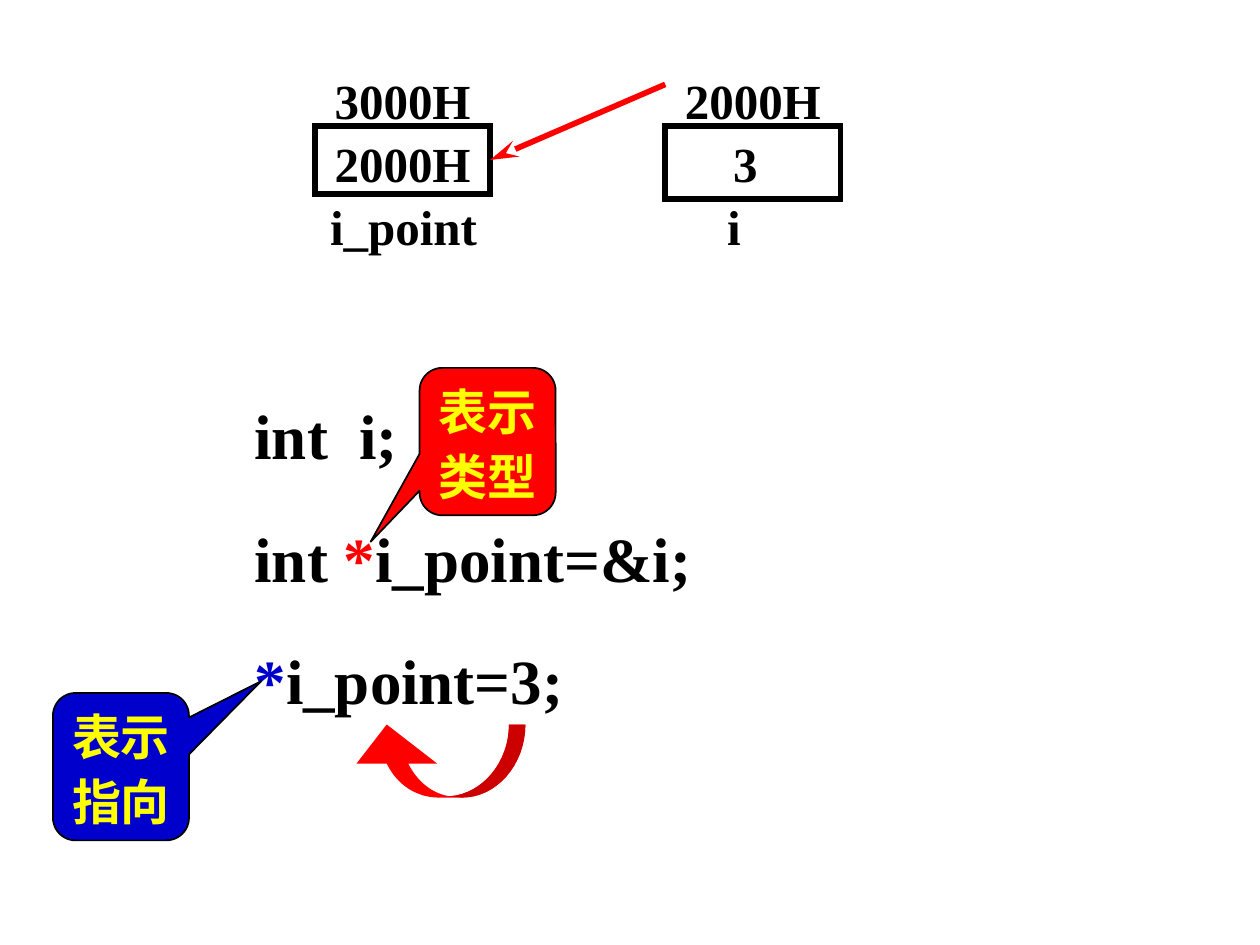
from lxml.etree import SubElement
from pptx import Presentation
from pptx.dml.color import RGBColor
from pptx.enum.shapes import MSO_CONNECTOR as CONNECTOR, MSO_SHAPE as SHAPE
from pptx.enum.text import MSO_ANCHOR as ANCHOR, PP_ALIGN as ALIGN
from pptx.oxml.ns import qn
from pptx.util import Inches, Pt

COLORS = {"ink": "000000", "red": "FF0000", "dark_red": "CC0000",
          "blue": "0000CC", "yellow": "FFFF00"}
FONT = {"name": "Times New Roman", "bold": True}
TIGHT = (0.02, 0.01)
CELL_WIDTH, CELL_HEIGHT = 1.39, 0.54
POINTER_LEFT, VALUE_LEFT, CELL_TOP = 2.5, 5.28, 1
CURVE_STEPS = 16


def color(name):
    return RGBColor.from_string(COLORS[name])


def write(shape, lines, size=28, align=ALIGN.CENTER, insets=TIGHT,
          spacing=1.1, gap=0):
    frame = shape.text_frame
    side, edge = (Inches(value) for value in insets)
    layout = {"word_wrap": True, "vertical_anchor": ANCHOR.TOP,
              "margin_left": side, "margin_right": side,
              "margin_top": edge, "margin_bottom": edge}
    for name, value in layout.items():
        setattr(frame, name, value)
    for index, spans in enumerate(lines):
        para = frame.add_paragraph() if index else frame.paragraphs[0]
        style = {"alignment": align, "line_spacing": spacing,
                 "space_before": Pt(gap if index else 0)}
        for name, value in style.items():
            setattr(para, name, value)
        for text, ink in spans:
            span = para.add_run()
            span.text = text
            for name, value in {**FONT, "size": Pt(size)}.items():
                setattr(span.font, name, value)
            span.font.color.rgb = color(ink)


def add_text(page, place, lines, **options):
    box = page.shapes.add_textbox(*map(Inches, place))
    write(box, lines, **options)


def add_cell(page, left, height):
    cell = page.shapes.add_shape(SHAPE.RECTANGLE, Inches(left), Inches(CELL_TOP),
                                 Inches(CELL_WIDTH), Inches(height))
    cell.shadow.inherit = False
    cell.fill.background()
    cell.line.color.rgb = color("ink")
    cell.line.width = Pt(3.25)
    SubElement(cell.line._get_or_add_ln(), qn("a:miter"), lim="800000")
    return cell


def add_callout(page, left, top, text, fill, tip):
    callout = page.shapes.add_shape(SHAPE.ROUNDED_RECTANGULAR_CALLOUT,
                                    Inches(left), Inches(top),
                                    Inches(1.08), Inches(1.17))
    callout.shadow.inherit = False
    callout.adjustments[0], callout.adjustments[1] = tip
    callout.fill.solid()
    callout.fill.fore_color.rgb = color(fill)
    callout.line.color.rgb = color("ink")
    callout.line.width = Pt(1)
    write(callout, [[(text, "yellow")]])


def add_address_arrow(page, cell):
    arrow = page.shapes.add_connector(CONNECTOR.STRAIGHT,
                                      Inches(VALUE_LEFT), Inches(0.67),
                                      Inches(POINTER_LEFT + CELL_WIDTH), Inches(1.27))
    arrow.end_connect(cell, 3)
    arrow.line.color.rgb = color("red")
    arrow.line.width = Pt(3.25)
    SubElement(arrow.line._get_or_add_ln(), qn("a:tailEnd"), type="stealth", len="lg")
    SubElement(arrow._element.spPr, qn("a:effectLst"))


def curve(start, first, second, end):
    points = []
    for step in range(CURVE_STEPS + 1):
        t = step / CURVE_STEPS
        weights = ((1 - t) ** 3, 3 * t * (1 - t) ** 2, 3 * t * t * (1 - t), t ** 3)
        points.append(tuple(
            sum(weight * value for weight, value in zip(weights, axis))
            for axis in zip(start, first, second, end)))
    return points


def add_outline(page, points, fill):
    corners = [(Inches(x), Inches(y)) for x, y in points]
    builder = page.shapes.build_freeform(*corners[0])
    builder.add_line_segments(corners[1:], close=True)
    outline = builder.convert_to_shape()
    outline.shadow.inherit = False
    outline.fill.solid()
    outline.fill.fore_color.rgb = color(fill)
    outline.line.fill.background()


def add_curved_arrow(page):
    base, fold = (3.48, 6.33), (3.57, 6.32)
    head = [(3.07, 6.06), (2.83, 6.06), (3.07, 5.75), (3.47, 6.06), (3.24, 6.06)]
    outer = curve((4.17, 5.75), (4.17, 6.07), (3.94, 6.33), (3.67, 6.33))
    inner = curve(fold, (3.83, 6.3), (4.04, 6.05), (4.04, 5.75))
    left = curve(base, (3.31, 6.33), (3.15, 6.23), head[0])
    neck = curve(head[-1], (3.31, 6.2), (3.43, 6.3), fold)
    add_outline(page, outer + left + head[1:-1] + neck + inner[1:], "red")
    add_outline(page, outer + inner, "dark_red")


def main():
    deck = Presentation()
    deck.slide_width, deck.slide_height = Inches(10), Inches(7.5)
    page = deck.slides.add_slide(deck.slide_layouts[6])

    add_cell(page, VALUE_LEFT, 0.58)
    pointer_cell = add_cell(page, POINTER_LEFT, CELL_HEIGHT)
    write(pointer_cell, [[("2000H", "ink")]])
    for left, address in ((VALUE_LEFT, "2000H"), (POINTER_LEFT, "3000H")):
        add_text(page, (left, 0.5, CELL_WIDTH, CELL_HEIGHT), [[(address, "ink")]])
    add_address_arrow(page, pointer_cell)
    add_text(page, (POINTER_LEFT, 1.5, 1.49, CELL_HEIGHT), [[("i_point", "ink")]],
             align=ALIGN.LEFT, insets=(0.12, 0.01))

    code = [[("int  i;", "ink")],
            [("int ", "ink"), ("*", "red"), ("i_point=&i;", "ink")],
            [("*", "blue"), ("i_point=3;", "ink")]]
    add_text(page, (2, 3.08, 5.25, 2.63), code, size=36, align=ALIGN.LEFT, gap=22.5)
    add_curved_arrow(page)
    add_callout(page, 0.42, 5.5, "表示指向", "blue", (1.03, -0.58))
    add_callout(page, 3.33, 2.92, "表示类型", "red", (-0.86, 0.68))

    add_text(page, (5.75, 1.5, 0.42, CELL_HEIGHT), [[("i", "ink")]], align=ALIGN.LEFT)
    add_text(page, (5.5, 0.92, 0.83, 0.66), [[("3", "ink")]],
             insets=(0.1, 0.05), spacing=1.2)
    deck.save("out.pptx")


if __name__ == "__main__":
    main()
